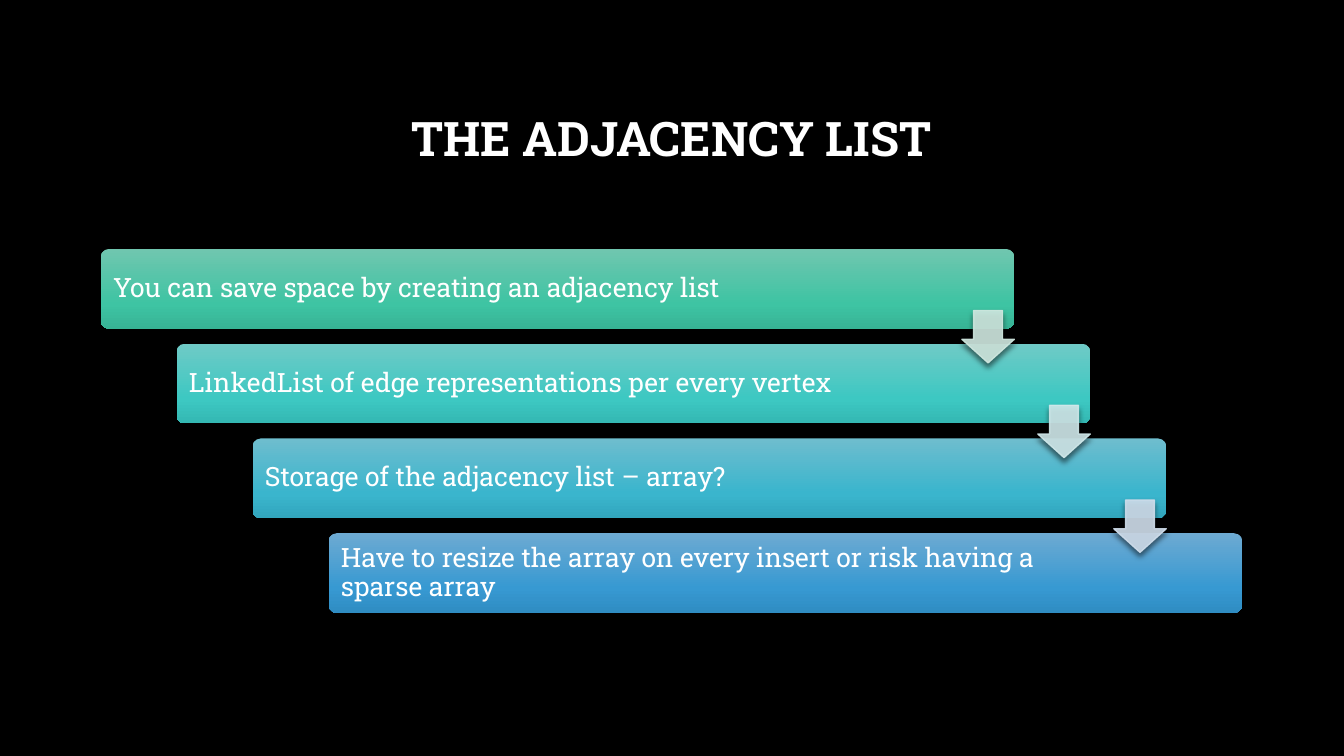
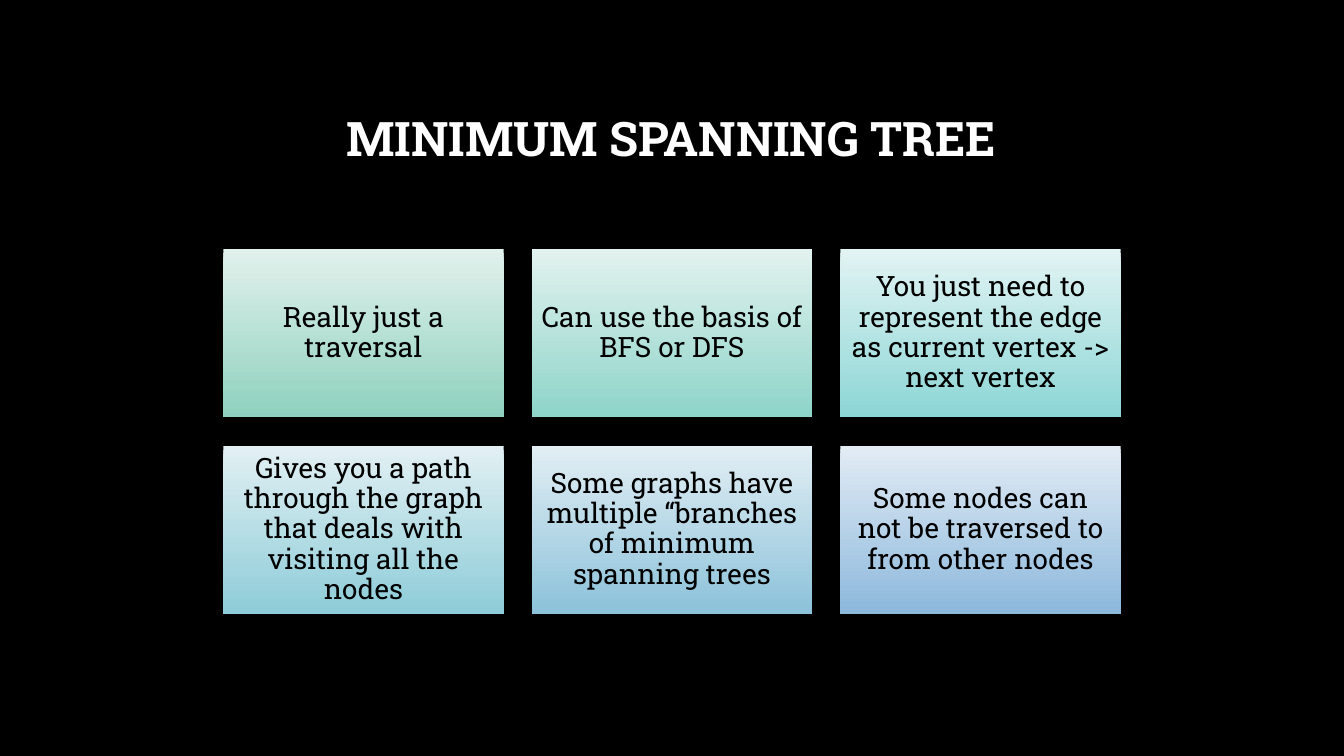
from lxml import etree
from pptx import Presentation
from pptx.dml.color import RGBColor
from pptx.enum.shapes import MSO_SHAPE
from pptx.enum.text import MSO_ANCHOR, MSO_AUTO_SIZE, PP_ALIGN
from pptx.oxml.ns import qn
from pptx.util import Inches, Pt

RECTANGLE = MSO_SHAPE.RECTANGLE
ROUNDED = MSO_SHAPE.ROUNDED_RECTANGLE
DOWN_ARROW = MSO_SHAPE.DOWN_ARROW
MIDDLE = MSO_ANCHOR.MIDDLE
NO_AUTOFIT = MSO_AUTO_SIZE.NONE
LEFT = PP_ALIGN.LEFT
CENTER = PP_ALIGN.CENTER

SLIDE_WIDTH, SLIDE_HEIGHT = 13.33, 7.5
CONTENT_LEFT, CONTENT_TOP, CONTENT_WIDTH = 1, 2.47, 11.32
TITLE_ONLY = 5

COLORS = {
    "background": "000000",
    "light": "FFFFFF",
    "dark": "000000",
}

STEPS = [
    ("You can save space by creating an adjacency list",
     ("70C6AF", "3EC4A3", "37B395"), "D0E8E0"),
    ("LinkedList of edge representations per every vertex",
     ("6FCAC6", "3DC8C2", "34B8B3"), "D0E8EA"),
    ("Storage of the adjacency list – array?",
     ("6EBDCE", "3AB5CD", "32A6BD"), "D0DEEC"),
    ("Have to resize the array on every insert or risk having a sparse array",
     ("6DAAD2", "3799D2", "2F8CC2"), None),
]

CARDS = [
    ("Really just a traversal", ("E1F1EC", "8FD1BE")),
    ("Can use the basis of BFS or DFS", ("E2F2EF", "8ED4C9")),
    ("You just need to represent the edge as current vertex -> next vertex",
     ("E2F3F3", "8DD6D6")),
    ("Gives you a path through the graph that deals with visiting all the nodes",
     ("E2F0F3", "8DCCD8")),
    ("Some graphs have multiple “branches of minimum spanning trees",
     ("E2EEF4", "8CC2DA")),
    ("Some nodes can not be traversed to from other nodes",
     ("E3ECF5", "8CB8DC")),
]


def set_attributes(target, values):
    for name, value in values.items():
        setattr(target, name, value)


def add_color(parent, color, opacity=100):
    node = etree.SubElement(parent, qn("a:srgbClr"), val=color)
    if opacity < 100:
        etree.SubElement(node, qn("a:alpha"), val=str(opacity * 1000))


class Deck:
    FONT = "Roboto Slab"

    def __init__(self):
        self.presentation = Presentation()
        self.presentation.slide_width = Inches(SLIDE_WIDTH)
        self.presentation.slide_height = Inches(SLIDE_HEIGHT)
        background = self.presentation.slide_master.background.fill
        background.solid()
        background.fore_color.rgb = RGBColor.from_string(COLORS["background"])
        self.slide = None

    def add_slide(self, title):
        layout = self.presentation.slide_layouts[TITLE_ONLY]
        self.slide = self.presentation.slides.add_slide(layout)
        heading = self.slide.shapes.title
        set_attributes(heading, {
            "left": Inches(CONTENT_LEFT), "top": Inches(0.67),
            "width": Inches(CONTENT_WIDTH), "height": Inches(1.45),
        })
        self.set_text(heading, title, 34, "light", CENTER, bold=True)

    def set_text(self, shape, text, size, color, align, bold=False, margins=None):
        frame = shape.text_frame
        frame.text = text
        set_attributes(frame, {
            "word_wrap": True, "auto_size": NO_AUTOFIT,
            "vertical_anchor": MIDDLE, **(margins or {}),
        })
        paragraph = frame.paragraphs[0]
        set_attributes(paragraph, {"alignment": align, "line_spacing": 0.9})
        font = paragraph.runs[0].font
        set_attributes(font, {"name": self.FONT, "size": Pt(size), "bold": bold})
        font.color.rgb = RGBColor.from_string(COLORS[color])

    def add_shape(self, kind, left, top, width, height, adjustments=()):
        shape = self.slide.shapes.add_shape(
            kind, Inches(left), Inches(top), Inches(width), Inches(height))
        shape.shadow.inherit = False
        shape.line.fill.background()
        for index, value in enumerate(adjustments):
            shape.adjustments[index] = value
        return shape

    def add_gradient(self, shape, stops):
        shape.fill.gradient()
        shape.fill.gradient_angle = 270
        stop_list = next(shape.element.iter(qn("a:gsLst")))
        for stop in list(stop_list):
            stop_list.remove(stop)
        for position, color in stops:
            stop = etree.SubElement(
                stop_list, qn("a:gs"), pos=str(position * 1000))
            add_color(stop, color)

    def add_shadow(self, shape, opacity, blur, distance):
        effects = next(shape.element.iter(qn("a:effectLst")))
        shadow = etree.SubElement(
            effects, qn("a:outerShdw"), blurRad=str(Pt(blur)),
            dist=str(Pt(distance)), dir="5400000", rotWithShape="0")
        add_color(shadow, COLORS["dark"], opacity)

    def add_step(self, text, colors, left, top, width, height):
        step = self.add_shape(ROUNDED, left, top, width, height, [0.1])
        self.add_gradient(step, zip((0, 69, 100), colors))
        self.add_shadow(step, 76, 6, 3)
        self.set_text(step, text, 19, "light", LEFT, margins={
            "margin_left": Inches(0.1), "margin_right": Inches(1.38),
            "margin_top": Inches(0.1), "margin_bottom": Inches(0.1),
        })

    def add_arrow(self, color, left, top, size):
        arrow = self.add_shape(DOWN_ARROW, left, top, size, size, [0.55, 0.45])
        arrow.line.width = Pt(1)
        for fill in (arrow.fill, arrow.line.fill):
            fill.solid()
            fill.fore_color.rgb = RGBColor.from_string(color)
        for node in arrow.element.spPr.iter(qn("a:srgbClr")):
            etree.SubElement(node, qn("a:alpha"), val="90000")
        self.add_shadow(arrow, 54, 4, 3)

    def add_card(self, text, colors, left, top, width, height):
        card = self.add_shape(RECTANGLE, left, top, width, height)
        self.add_gradient(card, zip((0, 100), colors))
        sides = ("left", "right", "top", "bottom")
        self.set_text(card, text, 20, "dark", CENTER, margins={
            f"margin_{side}": Inches(0.08) for side in sides})


def build_adjacency_list(deck):
    deck.add_slide("THE ADJACENCY LIST")
    width, height, drop, arrow_size = 9.06, 0.79, 0.94, 0.52
    shift = (CONTENT_WIDTH - width) / (len(STEPS) - 1)
    corners = [(CONTENT_LEFT + i * shift, CONTENT_TOP + i * drop)
               for i in range(len(STEPS))]
    for (text, colors, _), (left, top) in zip(STEPS, corners):
        deck.add_step(text, colors, left, top, width, height)
    for (_, _, arrow_color), (left, top) in zip(STEPS[:-1], corners):
        deck.add_arrow(
            arrow_color, left + width - arrow_size, top + 0.61, arrow_size)


def build_spanning_tree(deck):
    deck.add_slide("MINIMUM SPANNING TREE")
    columns, width, height, gap = 3, 2.78, 1.67, 0.28
    grid_left = (SLIDE_WIDTH - columns * width - (columns - 1) * gap) / 2
    for index, (text, colors) in enumerate(CARDS):
        row, column = divmod(index, columns)
        deck.add_card(text, colors, grid_left + column * (width + gap),
                      CONTENT_TOP + row * (height + gap), width, height)


def main():
    deck = Deck()
    build_adjacency_list(deck)
    build_spanning_tree(deck)
    deck.presentation.save("out.pptx")


if __name__ == "__main__":
    main()
